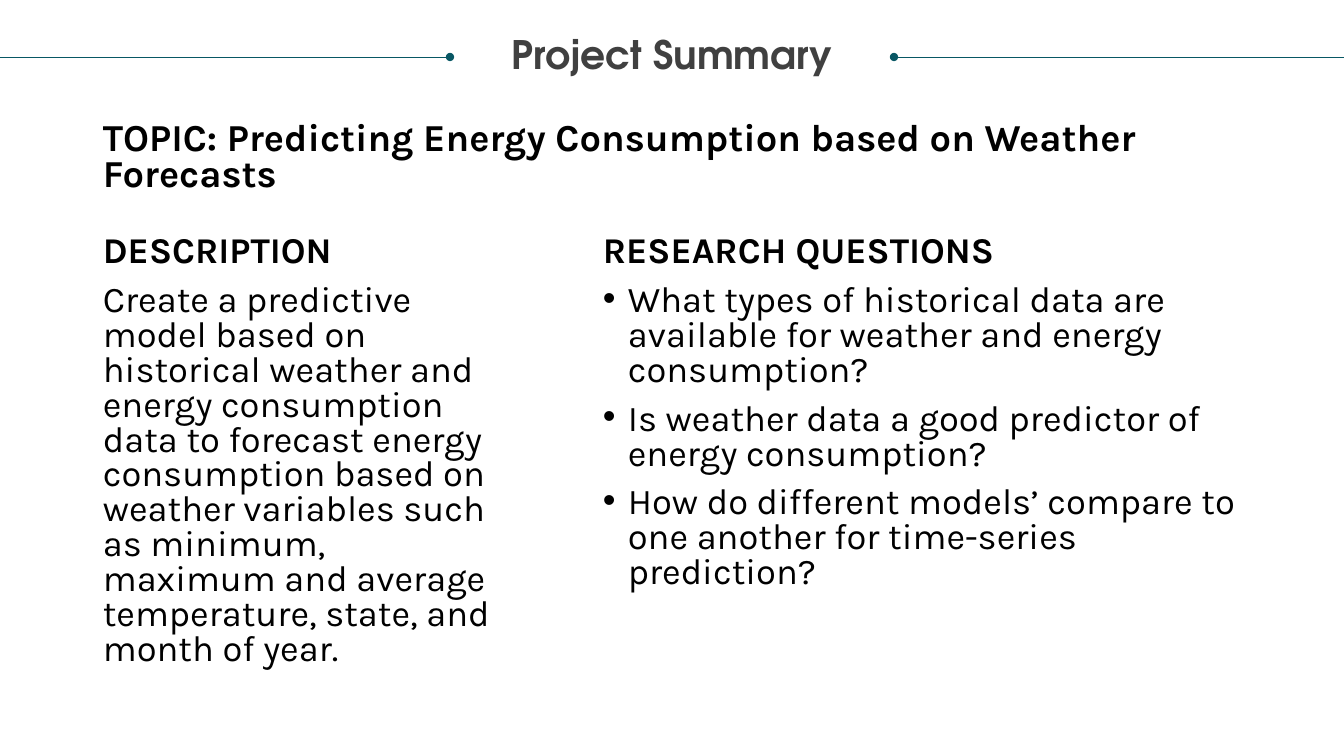
from lxml import etree
from pptx import Presentation
from pptx.dml.color import RGBColor
from pptx.enum.shapes import MSO_CONNECTOR
from pptx.enum.text import PP_ALIGN
from pptx.oxml.ns import qn
from pptx.util import Pt

EMU_PER_PX = 914400 / 100.8
SLIDE_W, SLIDE_H = 1344, 756
STRAIGHT = MSO_CONNECTOR.STRAIGHT
CENTER = PP_ALIGN.CENTER
COLORS = {"text": "000000", "title": "404040", "rule": "085764"}
BODY_FONT, TITLE_FONT = "Karla", "TeX Gyre Adventor"
BODY_SIZE, TOPIC_SIZE, TITLE_SIZE = 25.9, 27.2, 28
BULLET_INDENT = 25

TITLE = "Project Summary"
TOPIC = "TOPIC: Predicting Energy Consumption based on Weather Forecasts"
DESCRIPTION = [
    "Create a predictive model based on historical weather and energy consumption "
    "data to forecast energy consumption based on weather variables such as minimum, "
    "maximum and average temperature, state, and month of year.",
]
QUESTIONS = [
    "What types of historical data are available for weather and energy consumption?",
    "Is weather data a good predictor of energy consumption?",
    "How do different models’ compare to one another for time-series prediction?",
]


def px(length):
    """Turn a length in px into EMU."""
    return round(length * EMU_PER_PX)


def add_frame(slide, box):
    """Add a wrapping text box and return its text frame."""
    frame = slide.shapes.add_textbox(*map(px, box)).text_frame
    frame.word_wrap = True
    return frame


def write(paragraph, text, size, bold=True, font=BODY_FONT, color="text"):
    """Set the spacing of a paragraph and add its run."""
    paragraph.line_spacing = 0.8
    paragraph.space_before = Pt(10)
    run = paragraph.add_run()
    run.text = text
    run.font.name = font
    run.font.size = Pt(size)
    run.font.bold = bold
    run.font.color.rgb = RGBColor.from_string(COLORS[color])


def add_bullet(paragraph):
    """Give a paragraph a bullet with a hanging indent."""
    properties = paragraph._p.get_or_add_pPr()
    properties.set("marL", str(px(BULLET_INDENT)))
    properties.set("indent", str(-px(BULLET_INDENT)))
    etree.SubElement(properties, qn("a:buFont")).set("typeface", "Arial")
    etree.SubElement(properties, qn("a:buChar")).set("char", "•")


def add_rule(slide, start, end, y, dotted_end):
    """Draw a thin horizontal rule with a dot at one end."""
    rule = slide.shapes.add_connector(STRAIGHT, px(start), px(y), px(end), px(y))
    rule.line.color.rgb = RGBColor.from_string(COLORS["rule"])
    rule.line.width = Pt(0.5)
    etree.SubElement(rule.line._get_or_add_ln(), qn(f"a:{dotted_end}")).set("type", "oval")
    etree.SubElement(rule._element.spPr, qn("a:effectLst"))


def add_header(slide, box):
    """Place the centred title between two rules running to the slide edges."""
    left, top, width, height = box
    rule_length, rule_y = 450, top + 21
    add_rule(slide, 0, rule_length, rule_y, "tailEnd")
    add_rule(slide, SLIDE_W - rule_length, SLIDE_W, rule_y, "headEnd")
    frame = add_frame(slide, box)
    frame.margin_left = frame.margin_right = frame.margin_top = frame.margin_bottom = 0
    heading = frame.paragraphs[0]
    write(heading, TITLE, TITLE_SIZE, font=TITLE_FONT, color="title")
    heading.alignment = CENTER
    heading.line_spacing = 0.9
    heading.space_before = Pt(0)


def add_topic(slide, box):
    """Place the topic statement."""
    write(add_frame(slide, box).paragraphs[0], TOPIC, TOPIC_SIZE)


def add_column(slide, box, heading, entries, bulleted=False):
    """Place a bold heading with its entries below."""
    frame = add_frame(slide, box)
    write(frame.paragraphs[0], heading, BODY_SIZE)
    for entry in entries:
        paragraph = frame.add_paragraph()
        write(paragraph, entry, BODY_SIZE, bold=False)
        if bulleted:
            add_bullet(paragraph)


def main():
    """Build the project summary slide and save it."""
    deck = Presentation()
    deck.slide_width, deck.slide_height = px(SLIDE_W), px(SLIDE_H)
    slide = deck.slides.add_slide(deck.slide_layouts[6])
    add_header(slide, (25, 36, 1294, 42))
    add_topic(slide, (93, 117, 1159, 75))
    add_column(slide, (93, 231, 424, 450), "DESCRIPTION", DESCRIPTION)
    add_column(slide, (593, 231, 659, 450), "RESEARCH QUESTIONS", QUESTIONS, bulleted=True)
    deck.save("out.pptx")


if __name__ == "__main__":
    main()
